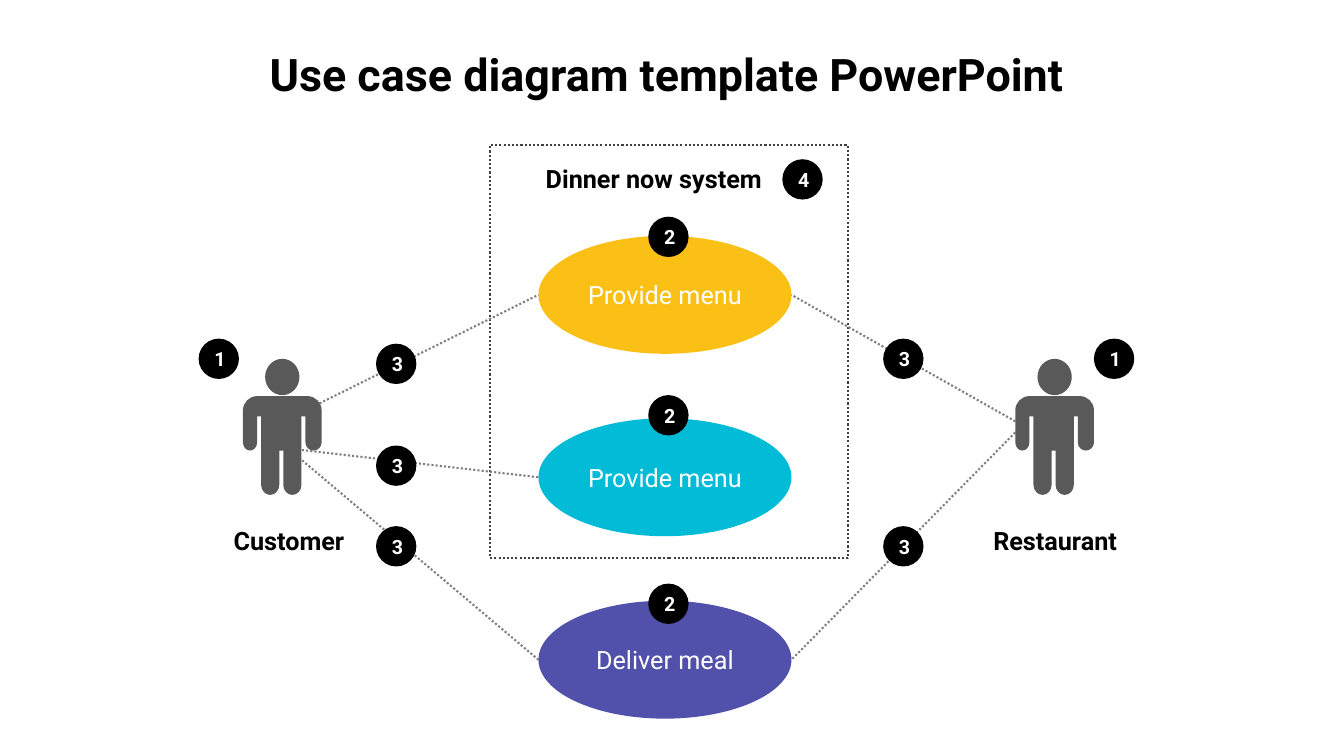
from math import cos, radians, sin

from lxml import etree
from pptx import Presentation
from pptx.dml.color import RGBColor
from pptx.enum import dml, shapes, text
from pptx.oxml.ns import qn
from pptx.util import Inches, Pt

BLACK = RGBColor(0x00, 0x00, 0x00)
WHITE = RGBColor(0xFF, 0xFF, 0xFF)
FRAME_GRAY = RGBColor(0x40, 0x40, 0x40)
LINK_GRAY = RGBColor(0x80, 0x80, 0x80)
ACTOR_GRAY = RGBColor(0x59, 0x59, 0x59)
YELLOW = RGBColor(0xFA, 0xC0, 0x16)
CYAN = RGBColor(0x02, 0xBB, 0xD6)
PURPLE = RGBColor(0x51, 0x51, 0xAB)

prs = Presentation()
prs.slide_width, prs.slide_height = Inches(13.33), Inches(7.5)
slide = prs.slides.add_slide(prs.slide_layouts[6])


def write(shape, words, size, color, bold):
    frame = shape.text_frame
    frame.word_wrap = True
    paragraph = frame.paragraphs[0]
    paragraph.text = words
    paragraph.alignment = text.PP_ALIGN.CENTER
    font = paragraph.font
    font.name, font.size, font.bold = "Roboto", Pt(size), bold
    font.color.rgb = color


def add_oval(left, top, width, height, fill):
    oval = slide.shapes.add_shape(
        shapes.MSO_SHAPE.OVAL, Inches(left), Inches(top), Inches(width), Inches(height))
    oval.shadow.inherit = False
    oval.fill.solid()
    oval.fill.fore_color.rgb = fill
    oval.line.fill.background()
    oval.text_frame.vertical_anchor = text.MSO_ANCHOR.MIDDLE
    return oval


# System boundary
boundary = slide.shapes.add_shape(
    shapes.MSO_SHAPE.RECTANGLE, Inches(4.86), Inches(1.44), Inches(3.55), Inches(4.1))
boundary.shadow.inherit = False
boundary.fill.solid()
boundary.fill.fore_color.rgb = WHITE
boundary.line.color.rgb = FRAME_GRAY
boundary.line.width = Pt(1.5)
boundary.line.dash_style = dml.MSO_LINE.ROUND_DOT

# Use cases
CASE_LEFT, CASE_TOP, CASE_WIDTH, CASE_HEIGHT, CASE_STEP = 5.34, 2.34, 2.51, 1.17, 1.81
use_cases = [("Provide menu", YELLOW), ("Provide menu", CYAN), ("Deliver meal", PURPLE)]
for row, (case, color) in enumerate(use_cases):
    oval = add_oval(CASE_LEFT, CASE_TOP + row * CASE_STEP, CASE_WIDTH, CASE_HEIGHT, color)
    write(oval, case, 18, WHITE, False)

# Title and labels
labels = [
    ("Use case diagram template PowerPoint ", 32, 1.91, 0.41, 9.52, 0.64),
    ("Dinner now system", 18, 5.02, 1.57, 2.93, 0.4),
    ("Customer", 18, 1.22, 5.16, 3.29, 0.45),
    ("Restaurant", 18, 8.82, 5.16, 3.29, 0.45),
]
for words, size, left, top, width, height in labels:
    box = slide.shapes.add_textbox(Inches(left), Inches(top), Inches(width), Inches(height))
    write(box, words, size, BLACK, True)

# Links between the actors and the use cases: actor x, actor y, case x, use case row
case_right = CASE_LEFT + CASE_WIDTH
links = [
    (2.87, 4.15, CASE_LEFT, 0),
    (2.87, 4.46, CASE_LEFT, 2),
    (2.87, 4.45, CASE_LEFT, 1),
    (10.07, 4.18, case_right, 0),
    (10.07, 4.29, case_right, 2),
]
for actor_x, actor_y, case_x, row in links:
    case_y = CASE_TOP + CASE_HEIGHT / 2 + row * CASE_STEP
    link = slide.shapes.add_connector(
        shapes.MSO_CONNECTOR.STRAIGHT,
        Inches(actor_x), Inches(actor_y), Inches(case_x), Inches(case_y))
    link.line.color.rgb = LINK_GRAY
    link.line.width = Pt(1.5)
    link.line.dash_style = dml.MSO_LINE.ROUND_DOT
    etree.SubElement(link._element.spPr, qn("a:effectLst"))

# Numbered badges
BADGE = 0.4
badges = {
    "1": [(1.97, 3.36), (10.85, 3.36)],
    "2": [(6.43, 2.15), (6.43, 3.92), (6.43, 5.79)],
    "3": [(3.73, 3.41), (3.73, 4.42), (3.73, 5.22), (8.76, 3.36), (8.76, 5.22)],
    "4": [(7.76, 1.58)],
}
for number, places in badges.items():
    for left, top in places:
        write(add_oval(left, top, BADGE, BADGE, BLACK), number, 14, WHITE, True)

# Actors: each arc is centre x, centre y, radius x, radius y, start angle, quarter turns;
# a corner is an arc without quarter turns
ROUNDNESS = 0.55
body = [
    (0.70, 0.83, 0.08, 0.08, 0, 2),
    (0.62, 0.57, 0, 0, 0, 0),
    (0.58, 0.57, 0, 0, 0, 0),
    (0.49, 1.25, 0.09, 0.10, 0, 2),
    (0.40, 0.91, 0, 0, 0, 0),
    (0.36, 0.91, 0, 0, 0, 0),
    (0.27, 1.25, 0.09, 0.10, 0, 2),
    (0.18, 0.57, 0, 0, 0, 0),
    (0.14, 0.57, 0, 0, 0, 0),
    (0.07, 0.83, 0.07, 0.08, 0, 2),
    (0.14, 0.51, 0.14, 0.14, 180, 1),
    (0.64, 0.51, 0.14, 0.14, 270, 1),
]
head = [(0.39, 0.18, 0.17, 0.18, 0, 4)]
outlines, segment_sizes = [], []
for part in (body, head):
    outline = []
    for x, y, rx, ry, start, quarters in part:
        if outline:
            segment_sizes.append(1)
        angle = radians(start)
        outline.append((x + rx * cos(angle), y + ry * sin(angle)))
        for quarter in range(quarters):
            a, b = radians(start + 90 * quarter), radians(start + 90 * (quarter + 1))
            for near, far in ((a, b), (b, a)):
                outline.append((x + rx * (cos(near) + ROUNDNESS * cos(far)),
                                y + ry * (sin(near) + ROUNDNESS * sin(far))))
            outline.append((x + rx * cos(b), y + ry * sin(b)))
            segment_sizes.append(3)
    outlines.append(outline)

for left in (2.41, 10.07):
    body_points, head_points = [
        [(Inches(left + x), Inches(3.56 + y)) for x, y in outline] for outline in outlines]
    builder = slide.shapes.build_freeform(*body_points[0])
    builder.add_line_segments(body_points[1:], close=True)
    builder.move_to(*head_points[0])
    builder.add_line_segments(head_points[1:], close=True)
    actor = builder.convert_to_shape()
    actor.shadow.inherit = False
    actor.fill.solid()
    actor.fill.fore_color.rgb = ACTOR_GRAY
    actor.line.fill.background()
    # Join the three points of each quarter turn into one curve
    steps = iter(list(actor._element.iter(qn("a:lnTo"))))
    for size in segment_sizes:
        segment = [next(steps) for _ in range(size)]
        if size == 3:
            curve = etree.Element(qn("a:cubicBezTo"))
            segment[0].addprevious(curve)
            for step in segment:
                curve.append(step[0])
                step.getparent().remove(step)

prs.save("out.pptx")
